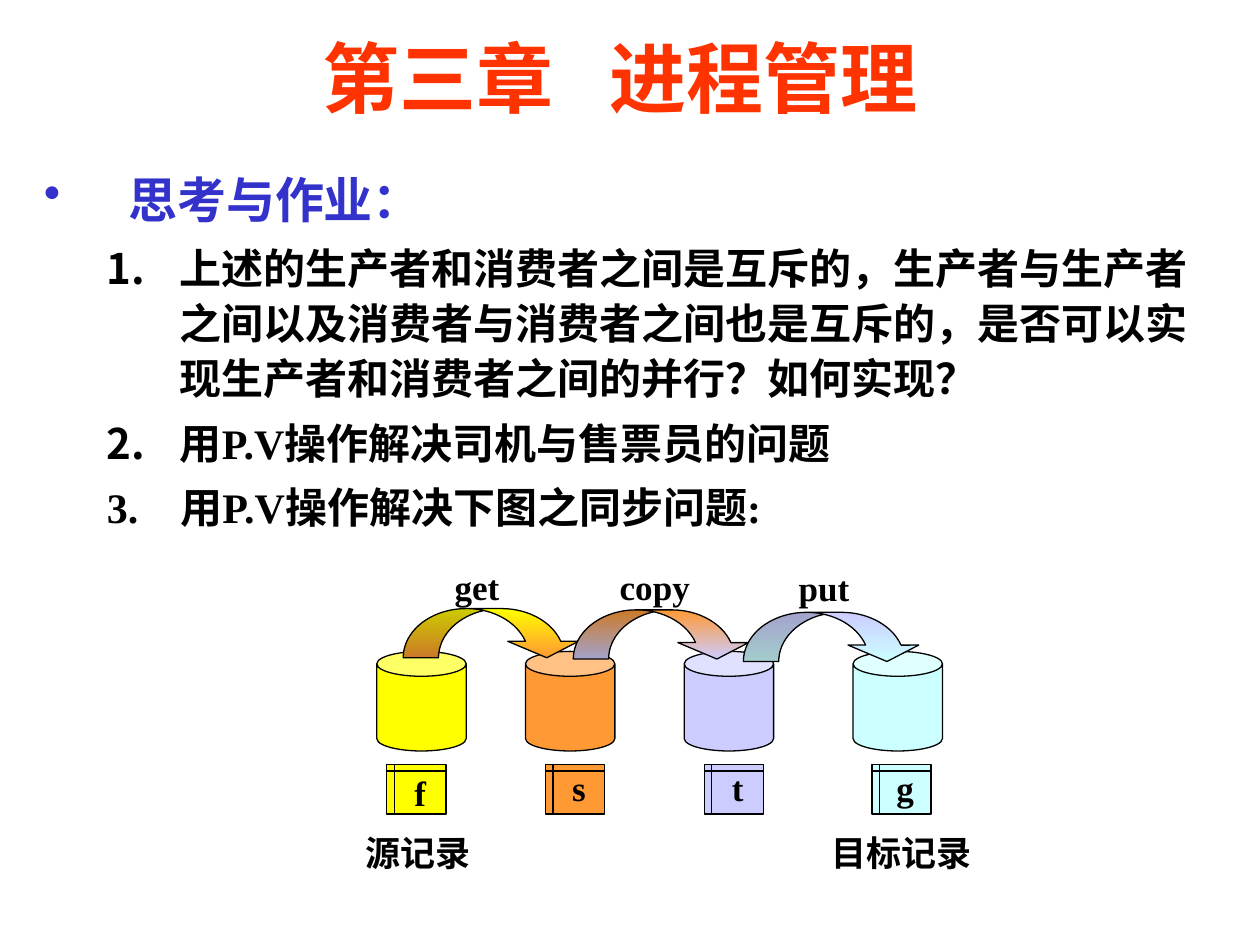
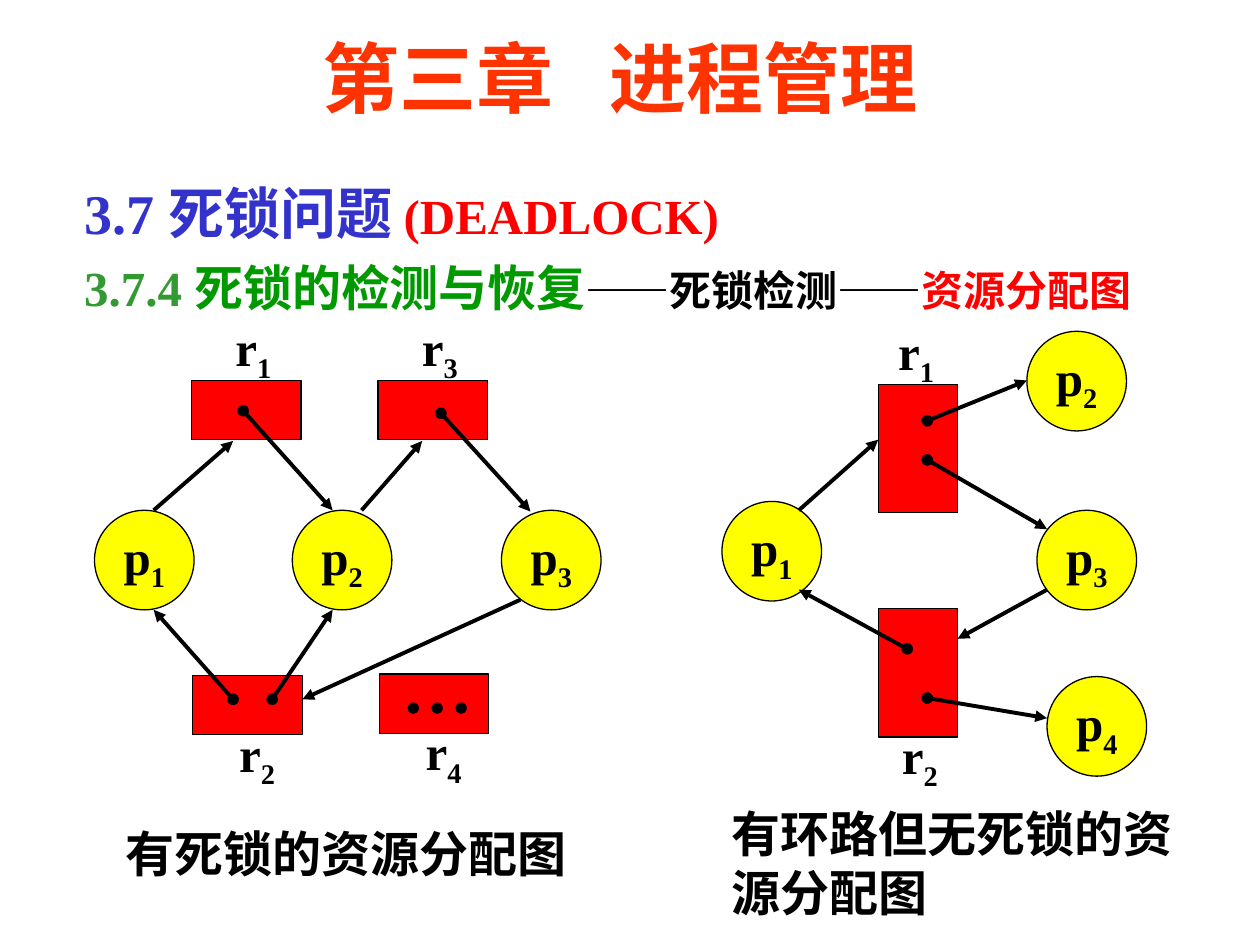
from lxml import etree
from pptx import Presentation
from pptx import util as u
from pptx.dml.color import RGBColor
from pptx.enum import shapes, text
from pptx.oxml import ns

PX = 9144
FONT = "Times New Roman"
BLACK = RGBColor(0x00, 0x00, 0x00)
RED = RGBColor(0xFF, 0x00, 0x00)
TITLE_RED = RGBColor(0xFF, 0x33, 0x00)
BLUE = RGBColor(0x33, 0x33, 0xCC)
GREEN = RGBColor(0x33, 0x99, 0x33)
DARK_GREEN = RGBColor(0x00, 0x99, 0x00)
YELLOW = RGBColor(0xFF, 0xFF, 0x00)
ORANGE = RGBColor(0xFF, 0x99, 0x33)
LILAC = RGBColor(0xCC, 0xCC, 0xFF)
CYAN = RGBColor(0xCC, 0xFF, 0xFF)
SHAPE = shapes.MSO_SHAPE
CENTER = text.PP_ALIGN.CENTER


def add_run(paragraph, content, size=28, color=BLACK, subscript=False, gap=0):
    run = paragraph.add_run()
    run.text = content
    run.font.name = FONT
    run.font.size = u.Pt(size)
    run.font.bold = True
    run.font.color.rgb = color
    properties = run.font._element
    if subscript:
        properties.set("baseline", "-25000")
    if gap:
        properties.set("spc", str(gap * 100))


class Deck:
    def __init__(self):
        self.presentation = Presentation()
        self.presentation.slide_width = 1000 * PX
        self.presentation.slide_height = 750 * PX
        self.slide = None

    def new_slide(self):
        self.slide = self.presentation.slides.add_slide(self.presentation.slide_layouts[6])
        paragraph = self.text_box(117, 7, 750, 108, middle=True).paragraphs[0]
        paragraph.alignment = CENTER
        add_run(paragraph, "第三章", size=44, color=TITLE_RED)
        add_run(paragraph, " ", size=44, color=TITLE_RED, gap=22)
        add_run(paragraph, "进程管理", size=44, color=TITLE_RED)

    def text_box(self, left, top, width, height, middle=False):
        box = self.slide.shapes.add_textbox(left * PX, top * PX, width * PX, height * PX)
        frame = box.text_frame
        frame.word_wrap = True
        if middle:
            frame.vertical_anchor = text.MSO_ANCHOR.MIDDLE
        return frame

    def label(self, left, top, width, height, content, size=28, subscript="", side=10):
        frame = self.text_box(left, top, width, height)
        frame.margin_left = frame.margin_right = side * PX
        add_run(frame.paragraphs[0], content, size=size)
        if subscript:
            add_run(frame.paragraphs[0], subscript, size=size, subscript=True)

    def item(self, paragraph, left, hanging, bullet=None, level=0):
        properties = paragraph._p.get_or_add_pPr()
        properties.set("marL", str(left * PX))
        properties.set("indent", str(-hanging * PX))
        if bullet:
            kind, attribute, value = bullet
            etree.SubElement(properties, ns.qn(kind)).set(attribute, value)
        paragraph.level = level
        paragraph.line_spacing = 1.1
        if level:
            paragraph.space_before = u.Pt(5)

    def shape(self, kind, left, top, width, height, fill, fill_end=None, adjustments=()):
        shape = self.slide.shapes.add_shape(kind, left * PX, top * PX, width * PX, height * PX)
        shape.shadow.inherit = False
        for index, value in enumerate(adjustments):
            shape.adjustments[index] = value
        if fill_end is None:
            shape.fill.solid()
            shape.fill.fore_color.rgb = fill
        else:
            shape.fill.gradient()
            shape.fill.gradient_angle = 270
            for stop, color in zip(shape.fill.gradient_stops, (fill, fill_end)):
                stop.color.rgb = color
        shape.line.color.rgb = BLACK
        shape.line.width = u.Pt(0.75)
        return shape

    def caption(self, shape, content, size, margins, subscript=""):
        frame = shape.text_frame
        frame.word_wrap = False
        frame.vertical_anchor = text.MSO_ANCHOR.MIDDLE
        side, top, bottom = margins
        frame.margin_left = frame.margin_right = side * PX
        frame.margin_top, frame.margin_bottom = top * PX, bottom * PX
        frame.paragraphs[0].alignment = CENTER
        add_run(frame.paragraphs[0], content, size=size)
        if subscript:
            add_run(frame.paragraphs[0], subscript, size=size, subscript=True)

    def process(self, left, top, number):
        circle = self.shape(SHAPE.OVAL, left, top, 79, 79, YELLOW)
        self.caption(circle, "p", 28, (0, 0, 0), subscript=number)

    def arrow(self, start, end, dotted):
        ends = [value * PX for value in start + end]
        connector = self.slide.shapes.add_connector(shapes.MSO_CONNECTOR.STRAIGHT, *ends)
        connector.line.color.rgb = BLACK
        connector.line.width = u.Pt(2.25)
        properties = connector._element.spPr
        line = properties.find(ns.qn("a:ln"))
        if dotted:
            etree.SubElement(line, ns.qn("a:headEnd")).set("type", "oval")
        etree.SubElement(line, ns.qn("a:tailEnd")).set("type", "triangle")
        etree.SubElement(properties, ns.qn("a:effectLst"))

    def graph(self, resources, resource_size, labels, processes, assignments, requests):
        for left, top in resources:
            self.shape(SHAPE.RECTANGLE, left, top, *resource_size, RED)
        for left, top, number in labels:
            self.label(left, top, 71, 57, "r", subscript=number)
        for left, top, number in processes:
            self.process(left, top, number)
        for edges, dotted in ((assignments, True), (requests, False)):
            for start, end in edges:
                self.arrow(start, end, dotted)


def add_homework(deck):
    deck.new_slide()
    frame = deck.text_box(25, 125, 933, 317)
    heading = frame.paragraphs[0]
    deck.item(heading, 67, 67, ("a:buChar", "char", "•"))
    add_run(heading, "思考与作业：", color=BLUE)
    for question in (
        "上述的生产者和消费者之间是互斥的，生产者与生产者之间以及消费者与消费者之间也是互斥的，"
        "是否可以实现生产者和消费者之间的并行？如何实现？",
        "用P.V操作解决司机与售票员的问题",
    ):
        paragraph = frame.add_paragraph()
        deck.item(paragraph, 108, 58, ("a:buAutoNum", "type", "arabicPeriod"), level=1)
        add_run(paragraph, question, size=24)
    paragraph = frame.add_paragraph()
    deck.item(paragraph, 108, 58, level=1)
    add_run(paragraph, "3.", size=24)
    add_run(paragraph, " ", size=24, gap=18)
    add_run(paragraph, "用P.V操作解决下图之同步问题:", size=24)

    centered, raised = (10, 5, 5), (10, 1, 9)
    buffers = (
        ("f", 299, 307, YELLOW, centered),
        ("s", 417, 433, ORANGE, raised),
        ("t", 543, 559, LILAC, raised),
        ("g", 677, 692, CYAN, raised),
    )
    for name, can_left, record_left, color, margins in buffers:
        deck.shape(SHAPE.CAN, can_left, 517, 71, 79, color, adjustments=(0.278,))
        record = deck.shape(SHAPE.FLOWCHART_INTERNAL_STORAGE, record_left, 607, 47, 39, color)
        deck.caption(record, name, 20, margins)
    moves = (
        ("get", 483, 351, 444, 63, YELLOW, ORANGE),
        ("copy", 484, 482, 444, 79, ORANGE, LILAC),
        ("put", 486, 624, 445, 71, LILAC, CYAN),
    )
    for index, (name, arrow_top, left, top, width, color, color_end) in enumerate(moves):
        deck.shape(SHAPE.CURVED_DOWN_ARROW, 320 + 135 * index, arrow_top, 142, 39,
                   color, color_end, (0.719, 1.438, 0.333))
        deck.label(left, top, width, 43, name, size=20)
    deck.label(280, 655, 110, 43, "源记录", size=20)
    deck.label(650, 655, 142, 43, "目标记录", size=20)


def add_deadlock(deck):
    deck.new_slide()
    frame = deck.text_box(57, 126, 894, 130)
    headings = (
        (("3.7 死锁问题", 32, BLUE), (" ", 28, BLUE), ("(DEADLOCK)", 28, RED)),
        (("3.7.4 ", 28, GREEN), ("死锁的检测与恢复", 28, DARK_GREEN),
         ("——死锁检测——", 24, BLACK), ("资源分配图", 24, RED)),
    )
    for index, runs in enumerate(headings):
        paragraph = frame.add_paragraph() if index else frame.paragraphs[0]
        paragraph.line_spacing = 1.2
        for content, size, color in runs:
            add_run(paragraph, content, size=size, color=color)

    deck.graph(
        resources=((152, 302), (300, 302), (153, 536), (301, 535)),
        resource_size=(87, 47),
        labels=((177, 247, "1"), (325, 247, "3"), (180, 569, "2"), (328, 568, "4")),
        processes=((75, 405, "1"), (232, 405, "2"), (398, 405, "3")),
        assignments=(
            ((193, 326), (264, 405)),
            ((185, 555), (122, 484)),
            ((216, 555), (264, 484)),
            ((350, 328), (421, 406)),
        ),
        requests=(
            ((122, 405), (185, 350)),
            ((287, 405), (335, 350)),
            ((413, 476), (240, 555)),
        ),
    )
    for index in range(3):
        deck.shape(SHAPE.OVAL, 324 + 19 * index, 558, 8, 8, BLACK)
    deck.label(98, 649, 370, 57, "有死锁的资源分配图", side=2)

    deck.graph(
        resources=((697, 305), (697, 483)),
        resource_size=(63, 102),
        labels=((703, 250, "1"), (706, 571, "2")),
        processes=((573, 398, "1"), (815, 263, "2"), (823, 405, "3"), (831, 537, "4")),
        assignments=(
            ((720, 515), (634, 468)),
            ((736, 554), (831, 570)),
            ((736, 334), (815, 302)),
            ((736, 365), (831, 420)),
        ),
        requests=(
            ((634, 405), (697, 349)),
            ((831, 468), (760, 507)),
        ),
    )
    deck.label(571, 633, 370, 103, "有环路但无死锁的资源分配图")


def main():
    deck = Deck()
    add_homework(deck)
    add_deadlock(deck)
    deck.presentation.save("out.pptx")


if __name__ == "__main__":
    main()
